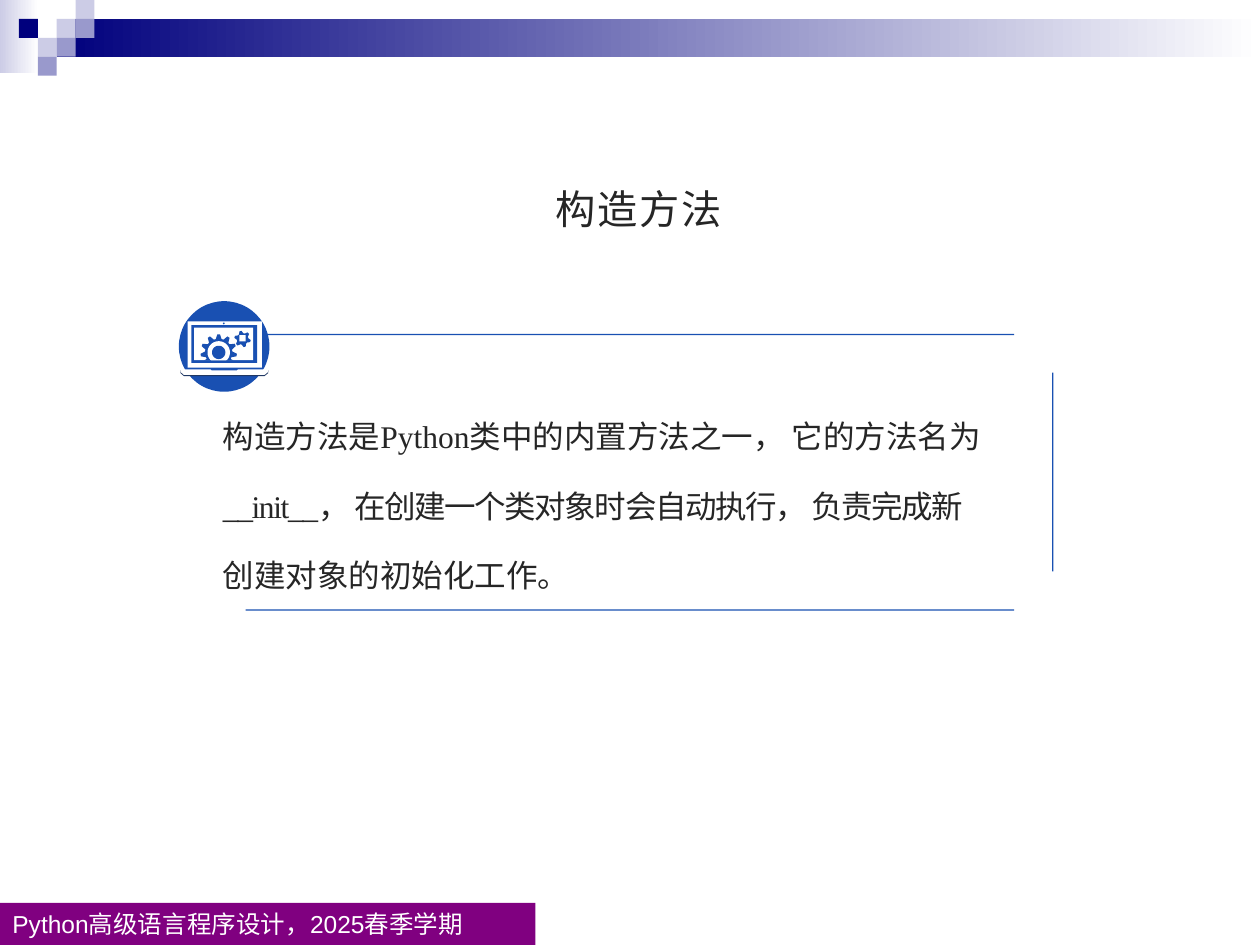
import math
from lxml import etree
from pptx import Presentation
from pptx import util as u
from pptx.dml import color as c
from pptx.enum import shapes, text
from pptx.oxml import ns

Pt = u.Pt
color = c.RGBColor.from_string
RECT, OVAL = shapes.MSO_SHAPE.RECTANGLE, shapes.MSO_SHAPE.OVAL
NAVY, LILAC, VIOLET, WHITE, BLUE, INK = "00007D", "CCCCE6", "9999CC", "FFFFFF", "1950B2", "262626"
CJK, SERIF = "Noto Sans CJK SC", "Times New Roman"

deck = Presentation()
deck.slide_width, deck.slide_height = Pt(720), Pt(540)
page = deck.slides.add_slide(deck.slide_layouts[6])


def add_block(left, top, width, height, fill, preset=RECT, fade=None):
    block = page.shapes.add_shape(preset, Pt(left), Pt(top), Pt(width), Pt(height))
    block.shadow.inherit = False
    block.line.fill.background()
    if fade:
        block.fill.gradient()
        block.fill.gradient_angle = 0
        for stop, shade, place in zip(block.fill.gradient_stops, (fill, fade), (0, 1)):
            stop.color.rgb = color(shade)
            stop.position = place
    else:
        block.fill.solid()
        block.fill.fore_color.rgb = color(fill)
    return block


def add_outline(points, fill):
    corners = [(Pt(x), Pt(y)) for x, y in points]
    builder = page.shapes.build_freeform(*corners[0], scale=1.0)
    builder.add_line_segments(corners[1:], close=True)
    outline = builder.convert_to_shape()
    outline.shadow.inherit = False
    outline.line.fill.background()
    outline.fill.solid()
    outline.fill.fore_color.rgb = color(fill)


add_block(0, 0, 22, 42, LILAC, fade=WHITE)
add_block(32.4, 10.8, 687.6, 21.6, NAVY, fade=WHITE)
step = 10.8
for column, row, shade in [(3, 1, LILAC), (4, 0, LILAC), (4, 1, VIOLET), (2, 2, LILAC),
                           (1, 1, NAVY), (3, 2, VIOLET), (2, 3, VIOLET)]:
    add_block(column * step, row * step, step, step, shade)

footer = add_block(0, 516, 306, 24, "800080")
frame = footer.text_frame
frame.margin_top = frame.margin_bottom = 0
frame.vertical_anchor = text.MSO_ANCHOR.MIDDLE
para = frame.paragraphs[0]
para.alignment = text.PP_ALIGN.LEFT
span = para.add_run()
span.text = "Python高级语言程序设计，2025春季学期"
span.font.size = Pt(14)
span.font.name = "Arial"
span.font.color.rgb = color(WHITE)

for left, top, width, height in [(601.2, 213, 0.75, 113.5), (140.4, 348.2, 439.2, 0.75),
                                 (140.4, 190.8, 439.2, 0.75)]:
    add_block(left, top, width, height, BLUE)

holder = page.shapes.add_table(1, 1, Pt(0), Pt(69.8), Pt(716.4), Pt(400.3))
table = holder.table
table.first_row = table.horz_banding = False
table._tbl.tblPr.find(ns.qn("a:tableStyleId")).text = "{2D5ABB26-0587-4C30-8999-92F81FD0307C}"
cell = table.cell(0, 0)
cell.fill.background()
cell.margin_left = cell.margin_right = cell.margin_bottom = 0
cell.margin_top = Pt(32)

lines = [
    (317.5, 0, 1, 23, 0.9, [("构造方法", CJK)]),
    (127.4, 87, 1.52, 18, 0, [("构造方法是", CJK), ("Python", SERIF),
                              ("类中的内置方法之一， 它的方法名为", CJK)]),
    (127.4, 0, 1.52, 18, -0.8, [("__init__", SERIF),
                                ("， 在创建一个类对象时会自动执行， 负责完成新", CJK)]),
    (127.4, 0, 1.52, 18, 0, [("创建对象的初始化工作。", CJK)]),
]
for number, (indent, before, spacing, size, tracking, pieces) in enumerate(lines):
    para = cell.text_frame.add_paragraph() if number else cell.text_frame.paragraphs[0]
    para._p.get_or_add_pPr().set("marL", str(Pt(indent)))
    para.line_spacing = spacing
    if before:
        para.space_before = Pt(before)
    for words, face in pieces:
        span = para.add_run()
        span.text = words
        span.font.size = Pt(size)
        span.font.name = face
        span.font.color.rgb = color(INK)
        run_style = span.font._element
        run_style.set("spc", str(round(tracking * 100)))
        etree.SubElement(run_style, ns.qn("a:ea")).set("typeface", CJK)

add_block(102.2, 172.1, 51.8, 51.8, BLUE, OVAL)
add_block(107.3, 183.6, 42.4, 26.6, WHITE)
add_block(127.4, 184.3, 1, 1, BLUE, OVAL)
add_block(109.4, 185.8, 37.5, 21.6, BLUE)
add_block(110.9, 187.2, 33.8, 18.7, WHITE)

screen_bottom = 205.9
for x, y, outer, inner, teeth, fill in [(125, 201.4, 10.4, 7.8, 11, BLUE),
                                        (125, 201.4, 6.4, 6.4, 12, WHITE),
                                        (125, 201.4, 3.8, 3.8, 12, BLUE),
                                        (138.6, 193.7, 4.7, 3.3, 6, BLUE)]:
    points = []
    for corner in range(teeth * 4):
        radius = outer if corner % 4 < 2 else inner
        angle = math.tau * (corner + 0.5) / (teeth * 4)
        points.append((x + radius * math.cos(angle),
                       min(y + radius * math.sin(angle), screen_bottom)))
    add_outline(points, fill)
add_block(136.8, 191.5, 3.6, 3.6, WHITE)

for top, fill in [(211.7, "203864"), (211, WHITE)]:
    add_outline([(103, top), (120.2, top), (121, top + 0.7), (135.4, top + 0.7), (136.1, top),
                 (153.4, top), (153.2, top + 1.6), (151.2, top + 3.2), (105.1, top + 3.2),
                 (103.2, top + 1.6)], fill)

deck.save("out.pptx")
